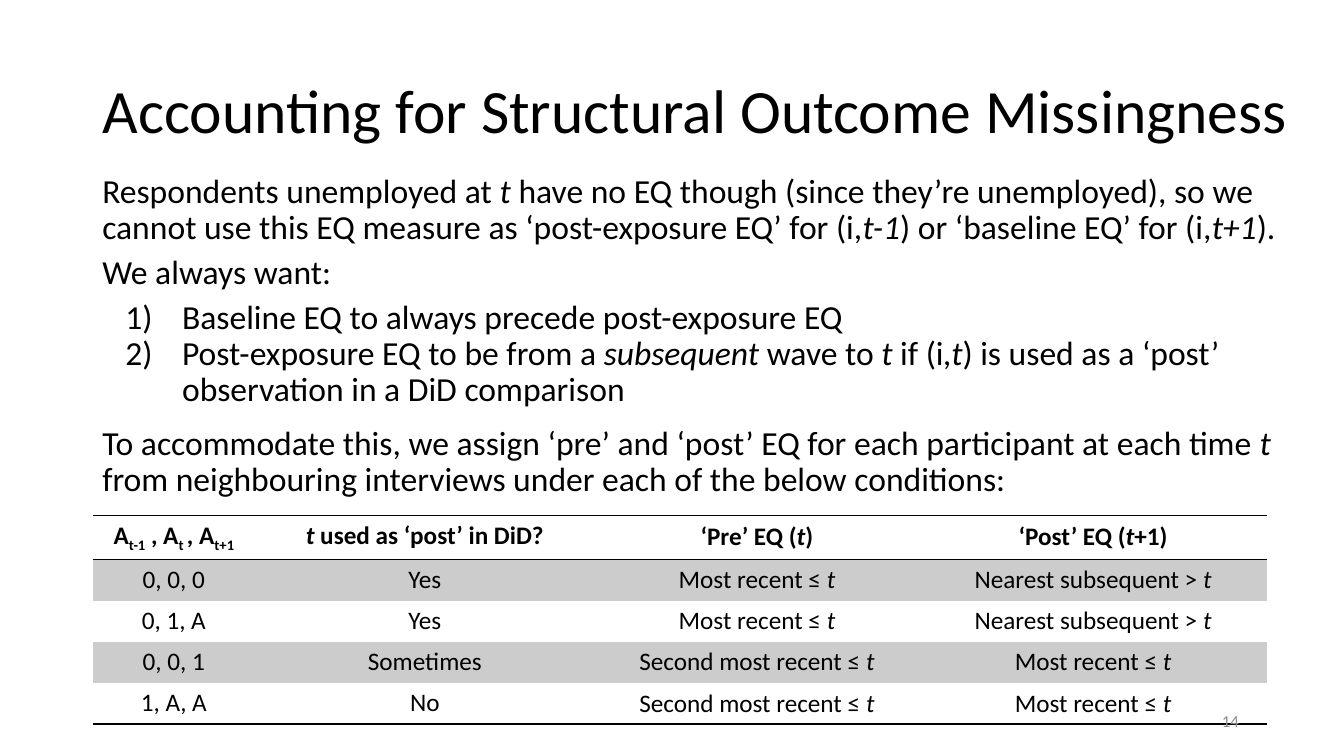
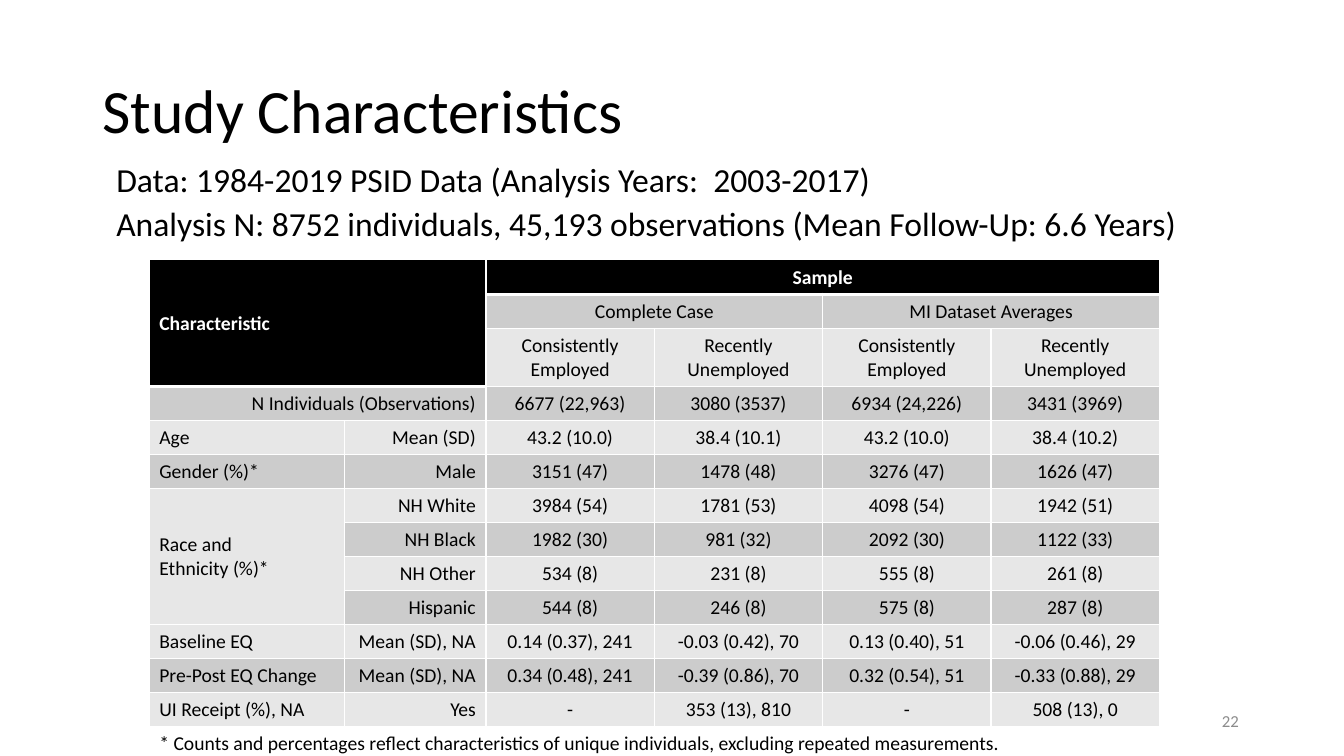
from dataclasses import dataclass
from typing import Sequence, Union

from lxml import etree
from pptx import Presentation
from pptx.dml.color import RGBColor
from pptx.enum.text import MSO_ANCHOR, MSO_AUTO_SIZE, PP_ALIGN
from pptx.oxml.ns import qn
from pptx.util import Pt

LEFT, CENTER, RIGHT = PP_ALIGN.LEFT, PP_ALIGN.CENTER, PP_ALIGN.RIGHT
TOP, MIDDLE = MSO_ANCHOR.TOP, MSO_ANCHOR.MIDDLE
NO_FIT = MSO_AUTO_SIZE.NONE
TITLE_ONLY = 5
NO_GRID_STYLE = "{2D5ABB26-0587-4C30-8999-92F81FD0307C}"


@dataclass(frozen=True)
class Theme:
    font: str = "Calibri"
    black: str = "000000"
    white: str = "FFFFFF"
    dark_band: str = "CCCCCC"
    light_band: str = "E7E7E7"
    grey: str = "8C8C8C"
    title: float = 44
    body: float = 24
    conditions: float = 18
    characteristics: float = 14
    number: float = 12
    spacing: float = 0.9


THEME = Theme()


@dataclass(frozen=True)
class Run:
    text: str
    italic: bool = False
    baseline: int = 0


Runs = Sequence[Union[str, Run]]


@dataclass(frozen=True)
class Para:
    runs: Runs
    before: float = 0
    after: float = 0
    left: float = 0
    hang: float = 0
    numbered: bool = False


@dataclass(frozen=True)
class Box:
    left: float
    top: float
    width: float
    height: float

    def lengths(self) -> list:
        return [Pt(v) for v in (self.left, self.top, self.width, self.height)]


@dataclass(frozen=True)
class Span:
    row: int
    col: int
    rows: int
    cols: int


def it(text: str) -> Run:
    return Run(text, italic=True)


def sub(text: str) -> Run:
    return Run(text, baseline=-25000)


def add_runs(p, runs: Runs, size: float, color: str = THEME.black, bold: bool = False) -> None:
    for item in runs:
        run = item if isinstance(item, Run) else Run(item)
        r = p.add_run()
        r.text = run.text
        r.font.name = THEME.font
        r.font.size = Pt(size)
        r.font.bold = bold
        r.font.italic = run.italic
        r.font.color.rgb = RGBColor.from_string(color)
        if run.baseline:
            r._r.get_or_add_rPr().set("baseline", str(run.baseline))


def add_title(s, text: str, width: float) -> None:
    sp = s.shapes.title
    sp.left, sp.top, sp.width, sp.height = Box(66, 29, width, 104.4).lengths()
    tf = sp.text_frame
    tf.word_wrap = True
    tf.auto_size = NO_FIT
    tf.vertical_anchor = MIDDLE
    p = tf.paragraphs[0]
    p.alignment = LEFT
    p.line_spacing = THEME.spacing
    add_runs(p, [text], THEME.title)


def add_text_frame(s, box: Box, anchor):
    tf = s.shapes.add_textbox(*box.lengths()).text_frame
    tf.word_wrap = True
    tf.auto_size = NO_FIT
    tf.vertical_anchor = anchor
    return tf


def add_body(s, box: Box, paras: Sequence[Para]) -> None:
    tf = add_text_frame(s, box, TOP)
    for i, para in enumerate(paras):
        p = tf.add_paragraph() if i else tf.paragraphs[0]
        p.line_spacing = THEME.spacing
        p.space_before = Pt(para.before)
        p.space_after = Pt(para.after)
        pPr = p._p.get_or_add_pPr()
        pPr.set("marL", str(Pt(para.left)))
        pPr.set("indent", str(Pt(-para.hang)))
        if para.numbered:
            etree.SubElement(pPr, qn("a:buAutoNum"), type="arabicParenR")
        add_runs(p, para.runs, THEME.body)


def add_number(s, number: str) -> None:
    p = add_text_frame(s, Box(678, 500.5, 214, 28.8), MIDDLE).paragraphs[0]
    p.alignment = RIGHT
    add_runs(p, [number], THEME.number, THEME.grey)


def add_table(s, left: float, top: float, cols: Sequence[float], rows: Sequence[float]):
    box = Box(left, top, sum(cols), sum(rows))
    table = s.shapes.add_table(len(rows), len(cols), *box.lengths()).table
    table.first_row = table.horz_banding = False
    table._tbl.tblPr.find(qn("a:tableStyleId")).text = NO_GRID_STYLE
    for col, width in zip(table.columns, cols):
        col.width = Pt(width)
    for row, height in zip(table.rows, rows):
        row.height = Pt(height)
    return table


def set_borders(cell, color: str, sides: dict[str, float]) -> None:
    tcPr = cell._tc.get_or_add_tcPr()
    for i, side in enumerate(x for x in "LRTB" if x in sides):
        ln = etree.Element(qn(f"a:ln{side}"), w=str(Pt(sides[side])))
        fill = etree.SubElement(ln, qn("a:solidFill"))
        etree.SubElement(fill, qn("a:srgbClr"), val=color)
        tcPr.insert(i, ln)


def fill_cell(cell, color: str) -> None:
    cell.fill.solid()
    cell.fill.fore_color.rgb = RGBColor.from_string(color)


def write_cell(cell, lines: Sequence[Runs], size: float, align, anchor=MIDDLE,
               color: str = THEME.black, bold: bool = False) -> None:
    cell.vertical_anchor = anchor
    tf = cell.text_frame
    for i, runs in enumerate(lines):
        p = tf.add_paragraph() if i else tf.paragraphs[0]
        p.alignment = align
        add_runs(p, runs, size, color, bold)


MISSINGNESS = [
    Para(["Respondents unemployed at ", it("t "),
          "have no EQ though (since they’re unemployed), so we cannot use this EQ measure as "
          "‘post-exposure EQ’ for (i,", it("t-1"), ") or ‘baseline EQ’ for (i,", it("t+1"), ")."],
         before=6),
    Para(["We always want:"], before=6, after=6),
    Para(["Baseline EQ to always precede post-exposure EQ"], left=57, hang=40.5, numbered=True),
    Para(["Post-exposure EQ to be from a ", it("subsequent "), "wave to ", it("t "), "if (i",
          it(",t"), ") is used as a ‘post’ observation in a DiD comparison"],
         left=57, hang=40.5, numbered=True),
    Para(["To accommodate this, we assign ‘pre’ and ‘post’ EQ for each participant at each time ",
          it("t "), "from neighbouring interviews under each of the below conditions:"],
         before=12.5),
]

RECENT = ["Most recent ≤ ", it("t")]
SECOND_RECENT = ["Second most recent ≤ ", it("t")]
SUBSEQUENT = ["Nearest subsequent > ", it("t")]
CONDITIONS = [
    [["A", sub("t-1"), " , A", sub("t "), ", A", sub("t+1")],
     [it("t"), " used as ‘post’ in DiD?"],
     ["‘Pre’ EQ (", it("t"), ")"],
     ["‘Post’ EQ (", it("t"), "+1)"]],
    [["0, 0, 0"], ["Yes"], RECENT, SUBSEQUENT],
    [["0, 1, A"], ["Yes"], RECENT, SUBSEQUENT],
    [["0, 0, 1"], ["Sometimes"], SECOND_RECENT, RECENT],
    [["1, A, A"], ["No"], SECOND_RECENT, RECENT],
]

STUDY_DATA = [
    Para(["Data: 1984-2019 PSID Data (Analysis Years:  2003-2017)"], before=6, left=10),
    Para(["Analysis N: 8752 individuals, 45,193 observations (Mean Follow-Up: 6.6 Years)"],
         before=6, left=10),
]

GROUPS = ["Consistently Employed", "Recently Unemployed"]
CHARACTERISTICS = [
    ["Characteristic", "", "Sample", "", "", ""],
    ["", "", "Complete Case", "", "MI Dataset Averages", ""],
    ["", "", *GROUPS, *GROUPS],
    ["N Individuals (Observations)", "", "6677 (22,963)", "3080 (3537)", "6934 (24,226)",
     "3431 (3969)"],
    ["Age", "Mean (SD)", "43.2 (10.0)", "38.4 (10.1)", "43.2 (10.0)", "38.4 (10.2)"],
    ["Gender (%)*", "Male", "3151 (47)", "1478 (48)", "3276 (47)", "1626 (47)"],
    ["Race and\nEthnicity (%)*", "NH White", "3984 (54)", "1781 (53)", "4098 (54)", "1942 (51)"],
    ["", "NH Black", "1982 (30)", "981 (32)", "2092 (30)", "1122 (33)"],
    ["", "NH Other", "534 (8)", "231 (8)", "555 (8)", "261 (8)"],
    ["", "Hispanic", "544 (8)", "246 (8)", "575 (8)", "287 (8)"],
    ["Baseline EQ", "Mean (SD), NA", "0.14 (0.37), 241", "-0.03 (0.42), 70",
     "0.13 (0.40), 51", "-0.06 (0.46), 29"],
    ["Pre-Post EQ Change", "Mean (SD), NA", "0.34 (0.48), 241", "-0.39 (0.86), 70",
     "0.32 (0.54), 51", "-0.33 (0.88), 29"],
    ["UI Receipt (%), NA", "Yes", "-", "353 (13), 810", "-", "508 (13), 0"],
    ["* Counts and percentages reflect characteristics of unique individuals, "
     "excluding repeated measurements.", "", "", "", "", ""],
]
GROUP_ROW, COUNT_ROW, NOTE_ROW = 2, 3, 13
SPANS = [Span(0, 0, 3, 2), Span(0, 2, 1, 4), Span(1, 2, 1, 2), Span(1, 4, 1, 2),
         Span(COUNT_ROW, 0, 1, 2), Span(6, 0, 4, 1), Span(NOTE_ROW, 0, 1, 6)]


def add_conditions(s) -> None:
    last = len(CONDITIONS) - 1
    table = add_table(s, 66.2, 368, [116, 242.6, 231.8, 248.4], [29.4] * len(CONDITIONS))
    for i, row in enumerate(CONDITIONS):
        for j, runs in enumerate(row):
            cell = table.cell(i, j)
            write_cell(cell, [runs], THEME.conditions, CENTER, TOP if j < 2 else MIDDLE,
                       bold=i == 0)
            if i % 2:
                fill_cell(cell, THEME.dark_band)
            if i == 0:
                set_borders(cell, THEME.black, {"T": 1, "B": 1})
            elif i == last:
                set_borders(cell, THEME.black, {"B": 1})


def add_characteristics(s) -> None:
    heights = [41.4 if i == GROUP_ROW else 24.3 for i in range(len(CHARACTERISTICS))]
    table = add_table(s, 106.6, 186, [139.7, 100.8] + [120.3] * 4, heights)
    for span in SPANS:
        end = table.cell(span.row + span.rows - 1, span.col + span.cols - 1)
        table.cell(span.row, span.col).merge(end)
    for i, row in enumerate(CHARACTERISTICS):
        header = i == 0
        band = THEME.dark_band if i % 2 else THEME.light_band
        color = {0: THEME.black, NOTE_ROW: THEME.white}.get(i, band)
        for j, text in enumerate(row):
            cell = table.cell(i, j)
            if cell.is_spanned:
                continue
            align = CENTER if j > 1 else RIGHT if j == 1 or i == COUNT_ROW else LEFT
            write_cell(cell, [[line] for line in text.split("\n")], THEME.characteristics, align,
                       color=THEME.white if header else THEME.black, bold=header)
            fill_cell(cell, color)
            set_borders(cell, THEME.white, {"L": 1, "R": 1, "B": 3 if header else 1})


def main() -> None:
    prs = Presentation()
    prs.slide_width, prs.slide_height = Pt(960), Pt(540)
    layout = prs.slide_layouts[TITLE_ONLY]

    s = prs.slides.add_slide(layout)
    add_title(s, "Accounting for Structural Outcome Missingness", 873.4)
    add_body(s, Box(66, 121, 859, 394.6), MISSINGNESS)
    add_conditions(s)
    add_number(s, "14")

    s = prs.slides.add_slide(layout)
    add_title(s, "Study Characteristics", 828)
    add_body(s, Box(66, 113, 869, 406), STUDY_DATA)
    add_number(s, "22")
    add_characteristics(s)

    prs.save("out.pptx")


if __name__ == "__main__":
    main()
